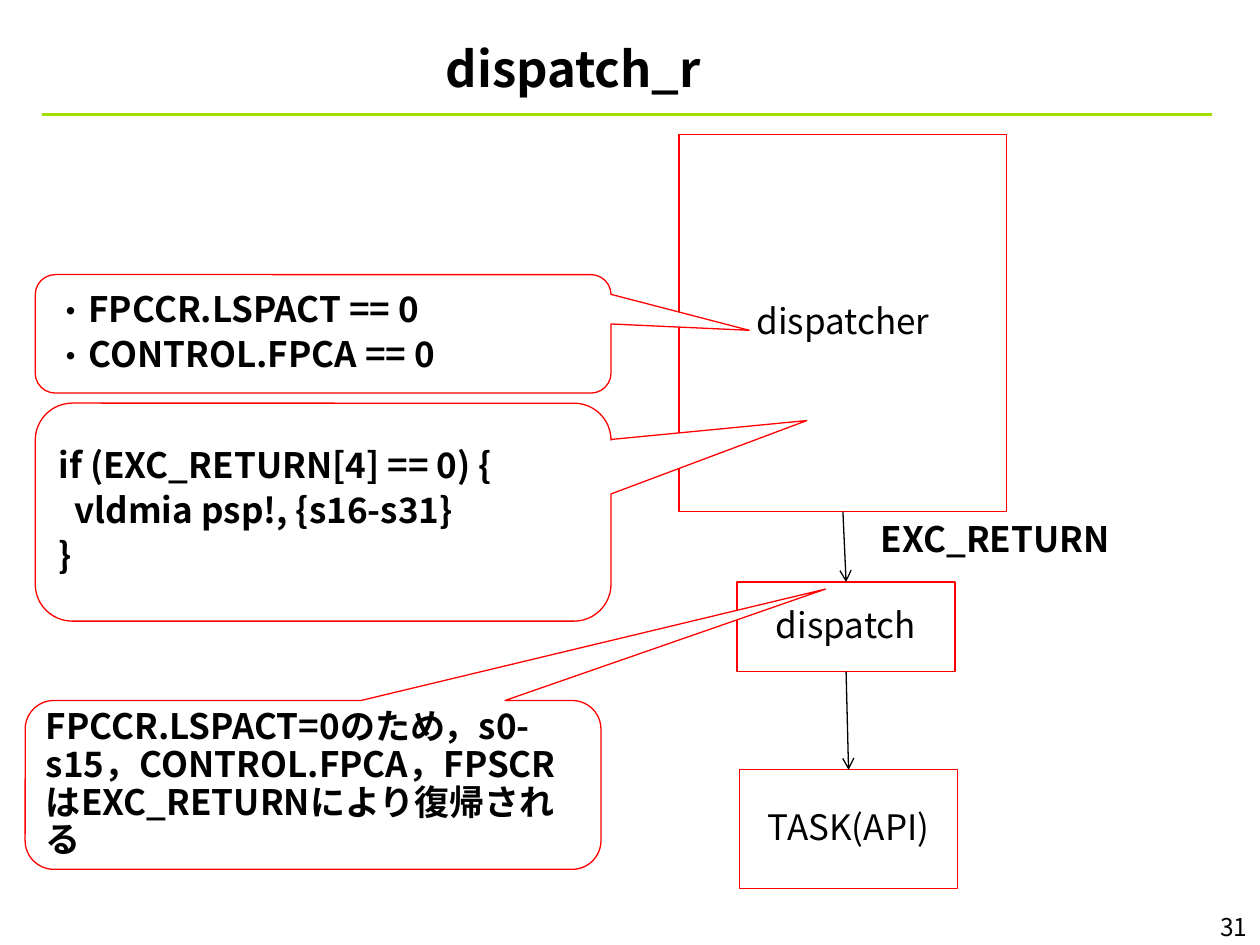
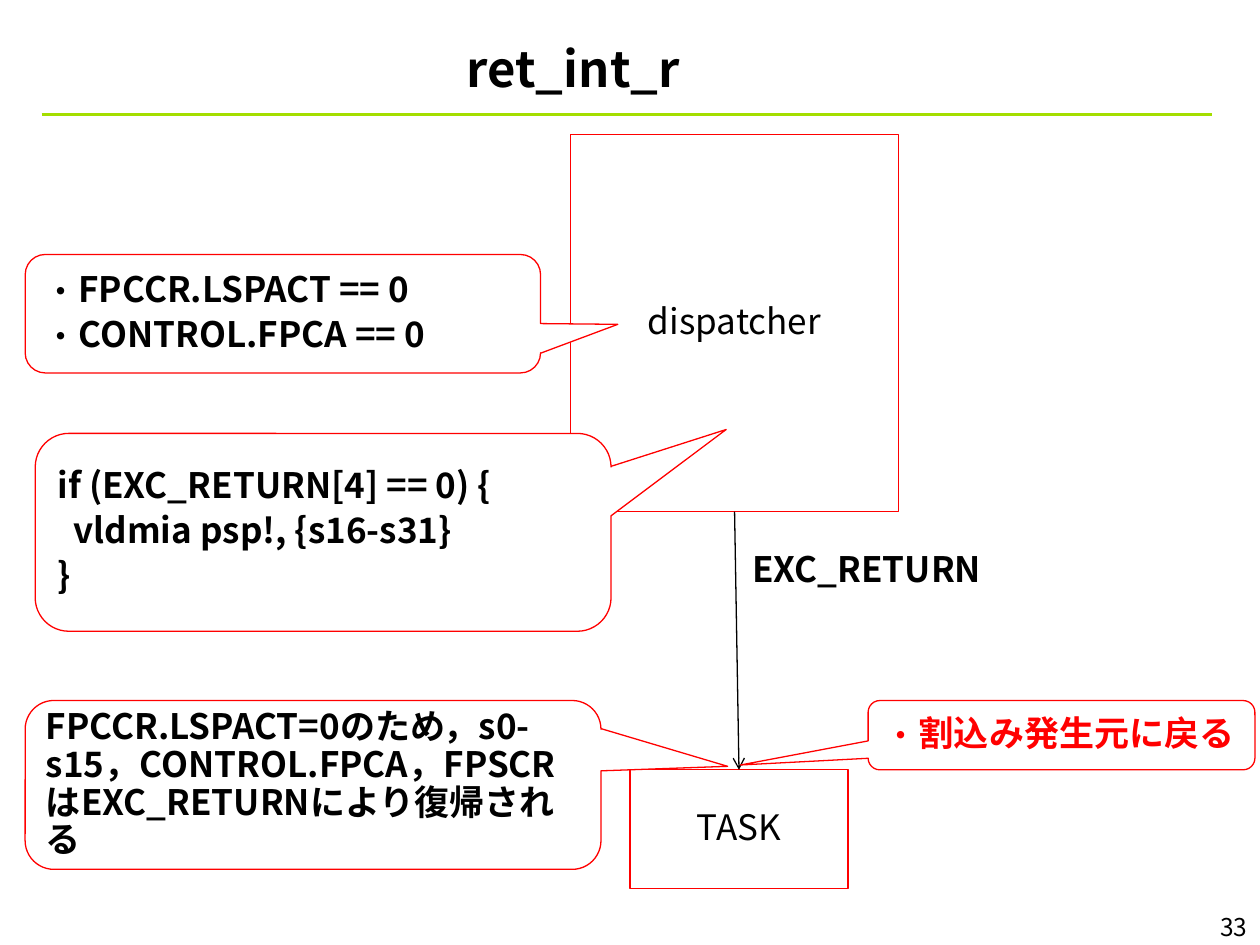
from dataclasses import dataclass
from itertools import pairwise

from pptx import Presentation
from pptx.dml.color import RGBColor
from pptx.enum.shapes import MSO_CONNECTOR as Connector, MSO_SHAPE as Shape
from pptx.enum.text import MSO_ANCHOR as Anchor, PP_ALIGN as Align
from pptx.oxml.ns import qn
from pptx.util import Inches, Pt
from lxml.etree import SubElement


@dataclass(frozen=True)
class Theme:
    font: str = "Noto Sans CJK JP"
    black: RGBColor = RGBColor(0, 0, 0)
    white: RGBColor = RGBColor(255, 255, 255)
    red: RGBColor = RGBColor(255, 0, 0)
    green: RGBColor = RGBColor(0xA4, 0xDE, 0)
    title_size: int = 28
    body_size: int = 20
    number_size: int = 14
    thin: float = 0.75
    rule: float = 1.5


theme = Theme()


def write_text(shape, text, *, size=theme.body_size, bold=False, color=theme.black,
               align=Align.LEFT, anchor=Anchor.TOP, top_inset=0.05,
               line_spacing=1.0, space_before=0, bullet=False):
    frame = shape.text_frame
    frame.word_wrap = True
    frame.vertical_anchor = anchor
    frame.margin_top = Inches(top_inset)
    for index, line in enumerate(text.split("\n")):
        paragraph = frame.paragraphs[0] if index == 0 else frame.add_paragraph()
        paragraph.alignment = align
        paragraph.line_spacing = line_spacing
        if index:
            paragraph.space_before = Pt(space_before)
        if bullet:
            properties = paragraph._p.get_or_add_pPr()
            properties.set("marL", str(Pt(size)))
            properties.set("indent", str(-Pt(size)))
            SubElement(properties, qn("a:buFont"), typeface=theme.font)
            SubElement(properties, qn("a:buChar"), char="・")
        run = paragraph.add_run()
        run.text = line
        run.font.size = Pt(size)
        run.font.bold = bold
        run.font.color.rgb = color
        run.font.name = theme.font
        SubElement(run._r.get_or_add_rPr(), qn("a:ea"), typeface=theme.font)


def add_outlined(slide, kind, place, text, **text_format):
    shape = slide.shapes.add_shape(kind, *map(Inches, place))
    shape.shadow.inherit = False
    shape.line.color.rgb = theme.red
    shape.line.width = Pt(theme.thin)
    if kind == Shape.RECTANGLE:
        shape.fill.background()
    else:
        shape.fill.solid()
        shape.fill.fore_color.rgb = theme.white
    write_text(shape, text, anchor=Anchor.MIDDLE, line_spacing=0.9,
               space_before=4, **text_format)
    return shape


# Wording that both slides share
registers = "FPCCR.LSPACT == 0\nCONTROL.FPCA == 0"
restore_code = "if (EXC_RETURN[4] == 0) {\n  vldmia psp!, {s16-s31}\n}"
restored = "FPCCR.LSPACT=0のため，s0-s15，CONTROL.FPCA，FPSCRはEXC_RETURNにより復帰される"
listed = {"bullet": True}
listed_red = {"bullet": True, "color": theme.red}

# Steps run from top to bottom; callouts give place, pointer, text and format
pages = [
    {
        "title": "dispatch_r", "number": "31", "label_at": (6.89, 4.06),
        "steps": [
            ("dispatcher", (5.39, 1.07, 2.6, 2.99)),
            ("dispatch", (5.85, 4.62, 1.73, 0.71)),
            ("TASK(API)", (5.87, 6.11, 1.73, 0.94)),
        ],
        "callouts": [
            ((0.28, 2.18, 4.57, 0.94), (0.74, -0.03), registers, listed),
            ((0.28, 3.2, 4.57, 1.73), (0.84, -0.42), restore_code, {}),
            ((0.2, 5.56, 4.57, 1.34), (0.89, -1.16), restored, {}),
        ],
    },
    {
        "title": "ret_int_r", "number": "33", "label_at": (5.87, 4.3),
        "steps": [
            ("dispatcher", (4.53, 1.07, 2.6, 2.99)),
            ("TASK", (5, 6.11, 1.73, 0.94)),
        ],
        "callouts": [
            ((6.89, 5.56, 3.07, 0.55), (-0.83, 0.43), "割込み発生元に戻る", listed_red),
            ((0.28, 3.44, 4.57, 1.57), (0.7, -0.52), restore_code, {}),
            ((0.2, 5.56, 4.57, 1.34), (0.72, -0.11), restored, {}),
            ((0.2, 2.02, 4.09, 0.94), (0.65, 0.09), registers, listed),
        ],
    },
]

presentation = Presentation()
presentation.slide_width = Inches(10)
presentation.slide_height = Inches(7.5)

for page in pages:
    slide = presentation.slides.add_slide(presentation.slide_layouts[6])
    shapes = slide.shapes

    # Rule under the title
    rule = shapes.add_connector(Connector.STRAIGHT, Inches(0.33), Inches(0.91),
                                Inches(9.62), Inches(0.91))
    rule.line.color.rgb = theme.green
    rule.line.width = Pt(theme.rule)
    SubElement(rule._element.spPr, qn("a:effectLst"))

    # Page number, title and arrow label
    for place, text, text_format in [
        ((9.17, 7.19, 0.83, 0.33), page["number"],
         {"size": theme.number_size, "align": Align.RIGHT}),
        ((0.23, 0.21, 8.64, 0.55), page["title"],
         {"size": theme.title_size, "bold": True, "align": Align.CENTER,
          "anchor": Anchor.MIDDLE, "top_inset": 0.16}),
        ((*page["label_at"], 2.28, 0.44), "EXC_RETURN", {"bold": True}),
    ]:
        write_text(shapes.add_textbox(*map(Inches, place)), text, **text_format)

    # Steps, joined by arrows
    steps = [add_outlined(slide, Shape.RECTANGLE, place, name, align=Align.CENTER)
             for name, place in page["steps"]]
    for upper, lower in pairwise(steps):
        arrow = shapes.add_connector(Connector.STRAIGHT, 0, 0, 0, 0)
        arrow.begin_connect(upper, 2)
        arrow.end_connect(lower, 0)
        arrow.line.color.rgb = theme.black
        arrow.line.width = Pt(theme.thin)
        SubElement(arrow.line._get_or_add_ln(), qn("a:tailEnd"), type="arrow")
        SubElement(arrow._element.spPr, qn("a:effectLst"))

    # Callouts
    for place, pointer, text, text_format in page["callouts"]:
        callout = add_outlined(slide, Shape.ROUNDED_RECTANGULAR_CALLOUT, place, text,
                               bold=True, **text_format)
        for index, value in enumerate((*pointer, 0.17)):
            callout.adjustments[index] = value

presentation.save("out.pptx")
